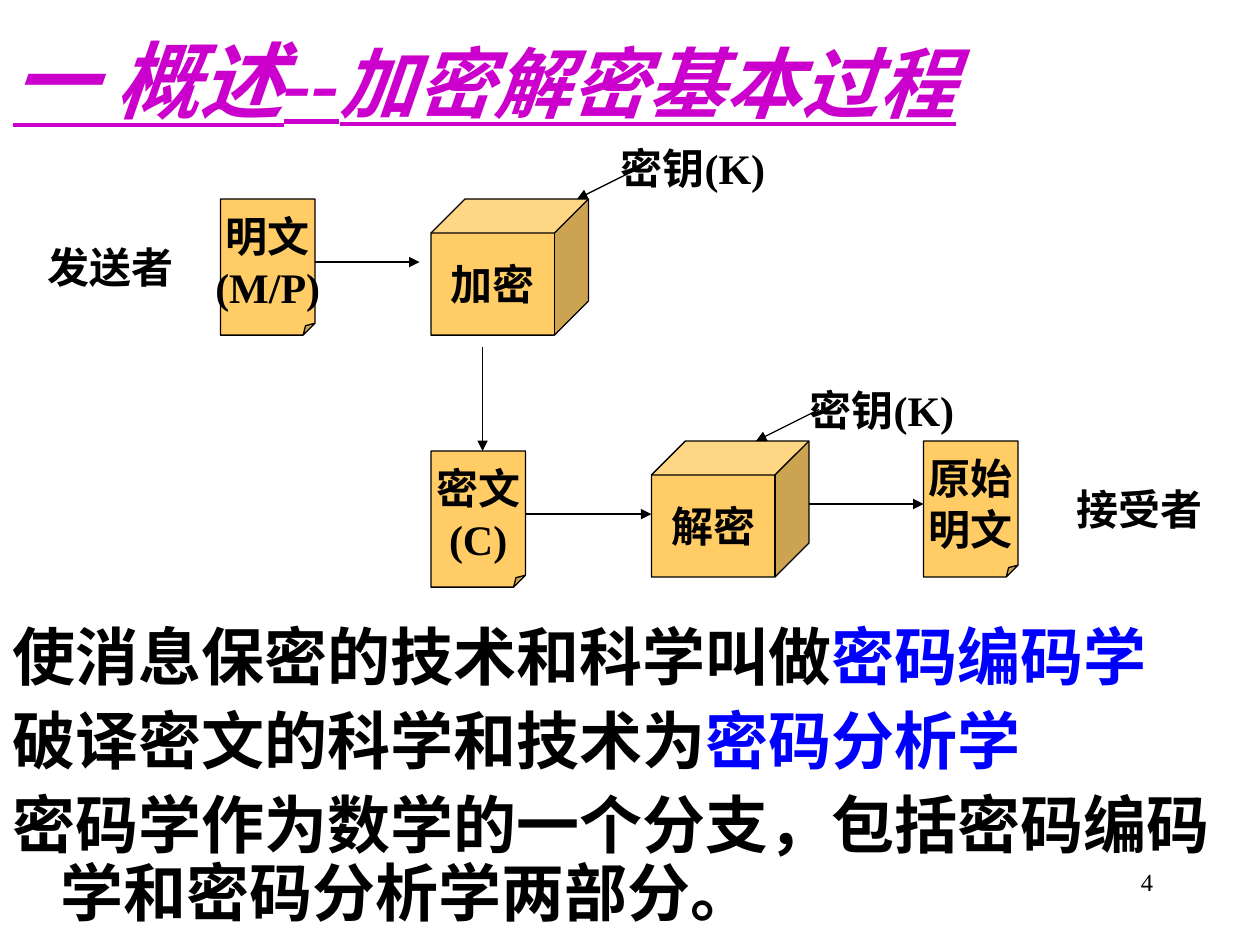
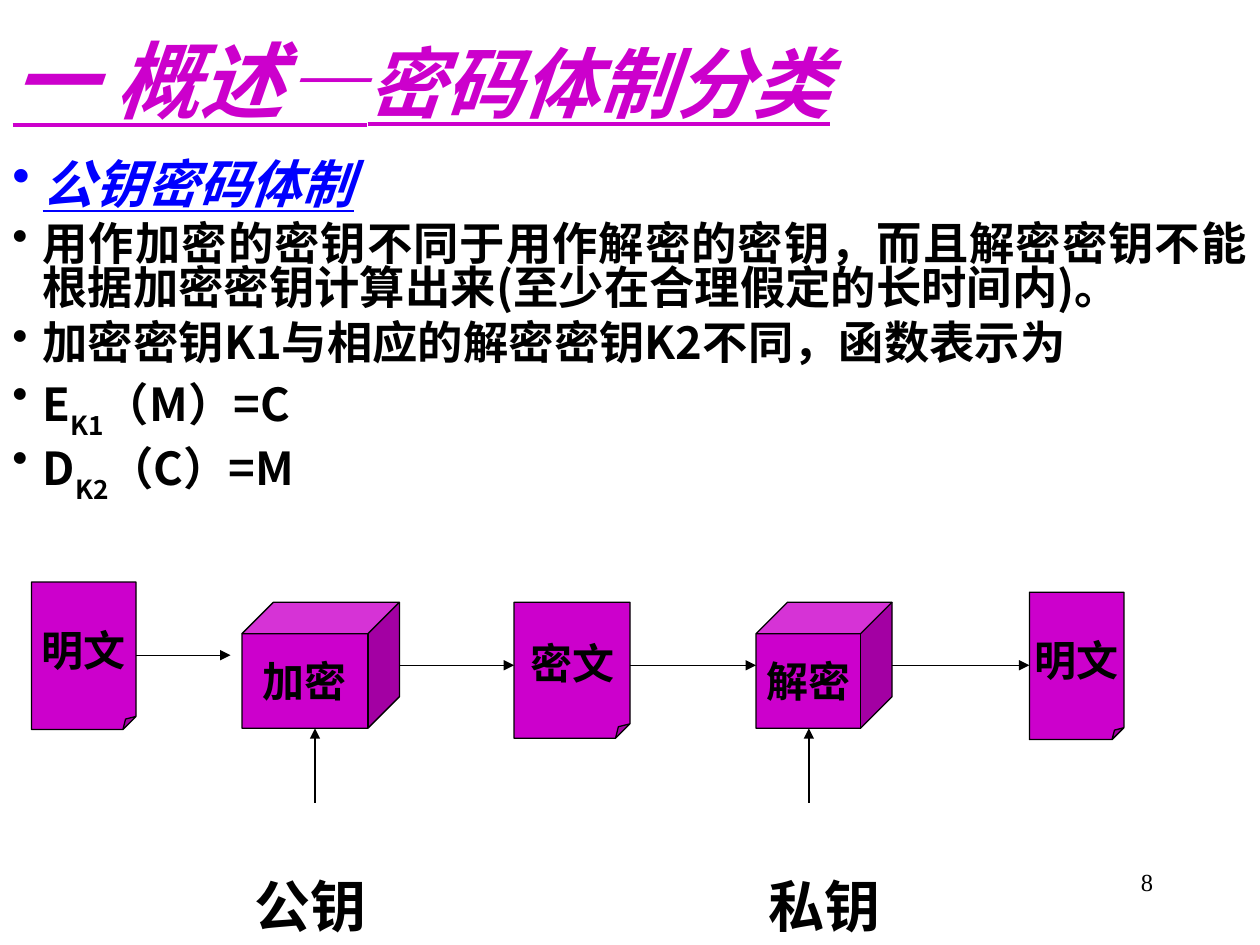
from dataclasses import dataclass
from typing import Any, Optional

from lxml.etree import SubElement
from pptx import Presentation
from pptx.dml.color import RGBColor
from pptx.enum.shapes import MSO_CONNECTOR as Connector, MSO_SHAPE as Preset
from pptx.enum.text import MSO_ANCHOR as Anchor, MSO_AUTO_SIZE as AutoSize, PP_ALIGN as Align
from pptx.oxml.ns import qn
from pptx.util import Inches, Pt

BLACK = RGBColor(0x00, 0x00, 0x00)
BLUE = RGBColor(0x00, 0x00, 0xFF)
MAGENTA = RGBColor(0xCC, 0x00, 0xCC)
AMBER = RGBColor(0xFF, 0xCC, 0x66)
SERIF = "Times New Roman"
SANS = "Noto Sans CJK SC"
LABEL_FORMAT = {"size": Pt(24), "name": SERIF, "bold": True}
KEY_FORMAT = LABEL_FORMAT | {"size": Pt(32)}
NUMBER_FORMAT = {"size": Pt(14), "name": SERIF}
TITLE_FORMAT = {"size": Pt(48), "name": SERIF, "bold": True, "italic": True, "underline": True}
SUBTITLE_FORMAT = TITLE_FORMAT | {"size": Pt(44)}
SUMMARY_FORMAT = {"size": Pt(36), "name": SANS, "bold": True}
HEADING_FORMAT = TITLE_FORMAT | {"size": Pt(29.6)}
POINT_FORMAT = {"size": Pt(25.9), "name": SANS, "bold": True}


@dataclass(frozen=True)
class Box:
    """A rectangle in inches."""
    left: float
    top: float
    width: float
    height: float


@dataclass(frozen=True)
class Span:
    """A stretch of text with one look."""
    text: str
    format: dict[str, Any]
    color: RGBColor = BLACK
    baseline: int = 0


@dataclass(frozen=True)
class Line:
    """A paragraph with its spacing, hanging indent and bullet."""
    spans: list[Span]
    format: dict[str, Any]
    hanging: float = 0
    bullet_color: Optional[RGBColor] = None


@dataclass(frozen=True)
class Node:
    """A document or a cipher step in a flow."""
    preset: Any
    box: Box
    rows: list[str]


@dataclass(frozen=True)
class Arrow:
    """A straight arrow from start to end, in inches."""
    start: tuple[float, float]
    end: tuple[float, float]


@dataclass(frozen=True)
class Label:
    """A free caption in a flow."""
    text: str
    box: Box


def apply_format(target: Any, values: dict[str, Any]) -> None:
    """Set each named attribute of the target."""
    for name, value in values.items():
        setattr(target, name, value)


def add_bullet(properties: Any, color: RGBColor) -> None:
    """Give paragraph properties a coloured round bullet."""
    bullet_color = SubElement(properties, qn("a:buClr"))
    SubElement(bullet_color, qn("a:srgbClr"), val=str(color))
    SubElement(properties, qn("a:buChar"), char="•")


def write_lines(shape: Any, lines: list[Line], anchor: Any = Anchor.TOP, wrap: bool = True) -> None:
    """Fill the text frame of a shape with paragraphs."""
    frame = shape.text_frame
    apply_format(frame, {"word_wrap": wrap, "auto_size": AutoSize.NONE, "vertical_anchor": anchor})
    for index, line in enumerate(lines):
        paragraph = frame.add_paragraph() if index else frame.paragraphs[0]
        apply_format(paragraph, line.format)
        properties = paragraph._p.get_or_add_pPr()
        if line.hanging:
            properties.set("marL", str(Inches(line.hanging)))
            properties.set("indent", str(-Inches(line.hanging)))
        if line.bullet_color is not None:
            add_bullet(properties, line.bullet_color)
        for span in line.spans:
            run = paragraph.add_run()
            run.text = span.text
            apply_format(run.font, span.format)
            run.font.color.rgb = span.color
            run_properties = run._r.get_or_add_rPr()
            SubElement(run_properties, qn("a:ea"), typeface=SANS)
            if span.baseline:
                run_properties.set("baseline", str(span.baseline * 1000))


def place(box: Box) -> tuple[int, int, int, int]:
    """Turn a box into slide lengths."""
    return Inches(box.left), Inches(box.top), Inches(box.width), Inches(box.height)


def add_text(slide: Any, box: Box, lines: list[Line], anchor: Any = Anchor.TOP, wrap: bool = True) -> None:
    """Add a text box with paragraphs."""
    write_lines(slide.shapes.add_textbox(*place(box)), lines, anchor, wrap)


def centered(rows: list[str]) -> list[Line]:
    """Make centred label paragraphs."""
    return [Line([Span(row, LABEL_FORMAT)], {"alignment": Align.CENTER}) for row in rows]


def add_label(slide: Any, label: Label) -> None:
    """Add a centred caption."""
    add_text(slide, label.box, centered([label.text]), Anchor.MIDDLE, False)


def add_node(slide: Any, node: Node, color: RGBColor) -> None:
    """Add a filled document or cube with its label."""
    shape = slide.shapes.add_shape(node.preset, *place(node.box))
    shape.shadow.inherit = False
    if node.preset == Preset.FOLDED_CORNER:
        guides = next(shape._element.iter(qn("a:avLst")))
        for guide in list(guides):
            guides.remove(guide)
        SubElement(guides, qn("a:gd"), name="adj", fmla="val 12500")
    shape.fill.solid()
    shape.fill.fore_color.rgb = color
    shape.line.color.rgb = BLACK
    shape.line.width = Pt(0.75)
    write_lines(shape, centered(node.rows), Anchor.MIDDLE, False)


def add_arrow(slide: Any, arrow: Arrow) -> None:
    """Add a thin black arrow."""
    points = [Inches(value) for value in (*arrow.start, *arrow.end)]
    connector = slide.shapes.add_connector(Connector.STRAIGHT, *points)
    connector.line.color.rgb = BLACK
    connector.line.width = Pt(0.75)
    SubElement(connector.line._get_or_add_ln(), qn("a:tailEnd"), type="triangle")
    SubElement(connector._element.spPr, qn("a:effectLst"))


def add_flow(slide: Any, nodes: list[Node], arrows: list[Arrow], labels: list[Label], color: RGBColor) -> None:
    """Draw the nodes, arrows and captions of a flow."""
    for node in nodes:
        add_node(slide, node, color)
    for arrow in arrows:
        add_arrow(slide, arrow)
    for label in labels:
        add_label(slide, label)


def start_slide(presentation: Any, chapter: str, topic: str, number: int) -> Any:
    """Add a title-only slide with its title and page number."""
    slide = presentation.slides.add_slide(presentation.slide_layouts[5])
    title = slide.shapes.title
    title.left, title.top, title.width, title.height = place(Box(0, 0, 10, 1.25))
    spans = [Span(chapter, TITLE_FORMAT, MAGENTA), Span(topic, SUBTITLE_FORMAT, MAGENTA)]
    write_lines(title, [Line(spans, {"alignment": Align.LEFT})], Anchor.MIDDLE)
    page = Line([Span(str(number), NUMBER_FORMAT)], {"alignment": Align.RIGHT})
    add_text(slide, Box(7.17, 6.83, 2.08, 0.5), [page])
    return slide


def build_process_slide(presentation: Any) -> None:
    """Build the slide on the basic encryption process."""
    slide = start_slide(presentation, "一 概述--", "加密解密基本过程", 4)
    summary = [
        ("使消息保密的技术和科学叫做", "密码编码学"),
        ("破译密文的科学和技术为", "密码分析学"),
        ("密码学作为数学的一个分支，包括密码编码学和密码分析学两部分。", ""),
    ]
    spacing = {"line_spacing": 0.9, "space_before": Pt(9)}
    lines = []
    for statement, term in summary:
        spans = [Span(statement, SUMMARY_FORMAT)]
        if term:
            spans.append(Span(term, SUMMARY_FORMAT, BLUE))
        lines.append(Line(spans, spacing, 0.38))
    add_text(slide, Box(0, 4.92, 10, 2.58), lines)
    nodes = [
        Node(Preset.FOLDED_CORNER, Box(1.75, 1.58, 0.75, 1.08), ["明文", "(M/P)"]),
        Node(Preset.CUBE, Box(3.42, 1.58, 1.25, 1.08), ["加密"]),
        Node(Preset.FOLDED_CORNER, Box(3.42, 3.58, 0.75, 1.08), ["密文", "(C)"]),
        Node(Preset.CUBE, Box(5.17, 3.5, 1.25, 1.08), ["解密"]),
        Node(Preset.FOLDED_CORNER, Box(7.33, 3.5, 0.75, 1.08), ["原始", "明文"]),
    ]
    arrows = [
        Arrow((2.5, 2.08), (3.33, 2.08)),
        Arrow((3.83, 2.75), (3.83, 3.58)),
        Arrow((4.17, 4.08), (5.17, 4.08)),
        Arrow((6.42, 4), (7.33, 4)),
        Arrow((5.08, 1.33), (4.58, 1.58)),
        Arrow((6.5, 3.25), (6, 3.5)),
    ]
    labels = [
        Label("发送者", Box(0.25, 1.83, 1.25, 0.58)),
        Label("接受者", Box(8.42, 3.75, 1.25, 0.58)),
        Label("密钥(K)", Box(5, 1.08, 1, 0.5)),
        Label("密钥(K)", Box(6.5, 3, 1, 0.5)),
    ]
    add_flow(slide, nodes, arrows, labels, AMBER)


def build_public_key_slide(presentation: Any) -> None:
    """Build the slide on public key cryptosystems."""
    slide = start_slide(presentation, "一 概述—", "密码体制分类", 8)
    heading_spacing = {"line_spacing": 0.8, "space_before": Pt(8)}
    point_spacing = {"alignment": Align.JUSTIFY, "line_spacing": 0.8, "space_before": Pt(7)}
    statements = [
        "用作加密的密钥不同于用作解密的密钥，而且解密密钥不能根据加密密钥计算出来(至少在合理假定的长时间内)。",
        "加密密钥K1与相应的解密密钥K2不同，函数表示为",
    ]
    points = [[Span(statement, POINT_FORMAT)] for statement in statements]
    for function, key, result in [("E", "K1", "（M）=C"), ("D", "K2", "（C）=M")]:
        points.append([
            Span(function, POINT_FORMAT),
            Span(key, POINT_FORMAT, baseline=-30),
            Span(result, POINT_FORMAT),
        ])
    lines = [Line([Span("公钥密码体制", HEADING_FORMAT, BLUE)], heading_spacing, 0.24, BLUE)]
    lines += [Line(spans, point_spacing, 0.24, BLACK) for spans in points]
    add_text(slide, Box(0, 1.25, 10, 2.92), lines)
    nodes = [
        Node(Preset.FOLDED_CORNER, Box(0.25, 4.62, 0.83, 1.17), ["明文"]),
        Node(Preset.CUBE, Box(1.92, 4.78, 1.25, 1), ["加密"]),
        Node(Preset.FOLDED_CORNER, Box(4.08, 4.78, 0.92, 1.08), ["密文"]),
        Node(Preset.CUBE, Box(6, 4.78, 1.08, 1), ["解密"]),
        Node(Preset.FOLDED_CORNER, Box(8.17, 4.7, 0.75, 1.17), ["明文"]),
    ]
    arrows = [Arrow((1.08, 5.2), (1.83, 5.2))]
    for source, target in zip(nodes[1:], nodes[2:]):
        arrows.append(Arrow((source.box.left + source.box.width, 5.28), (target.box.left, 5.28)))
    arrows += [Arrow((x, 6.37), (x, 5.78)) for x in (2.5, 6.42)]
    add_flow(slide, nodes, arrows, [], MAGENTA)
    for key, left in [("公钥", 1.92), ("私钥", 6)]:
        line = Line([Span(key, KEY_FORMAT)], {"alignment": Align.LEFT})
        add_text(slide, Box(left, 6.87, 1.09, 0.64), [line], wrap=False)


def main() -> None:
    """Build and save the presentation."""
    presentation = Presentation()
    presentation.slide_width = Inches(10)
    presentation.slide_height = Inches(7.5)
    build_process_slide(presentation)
    build_public_key_slide(presentation)
    presentation.save("out.pptx")


if __name__ == "__main__":
    main()
